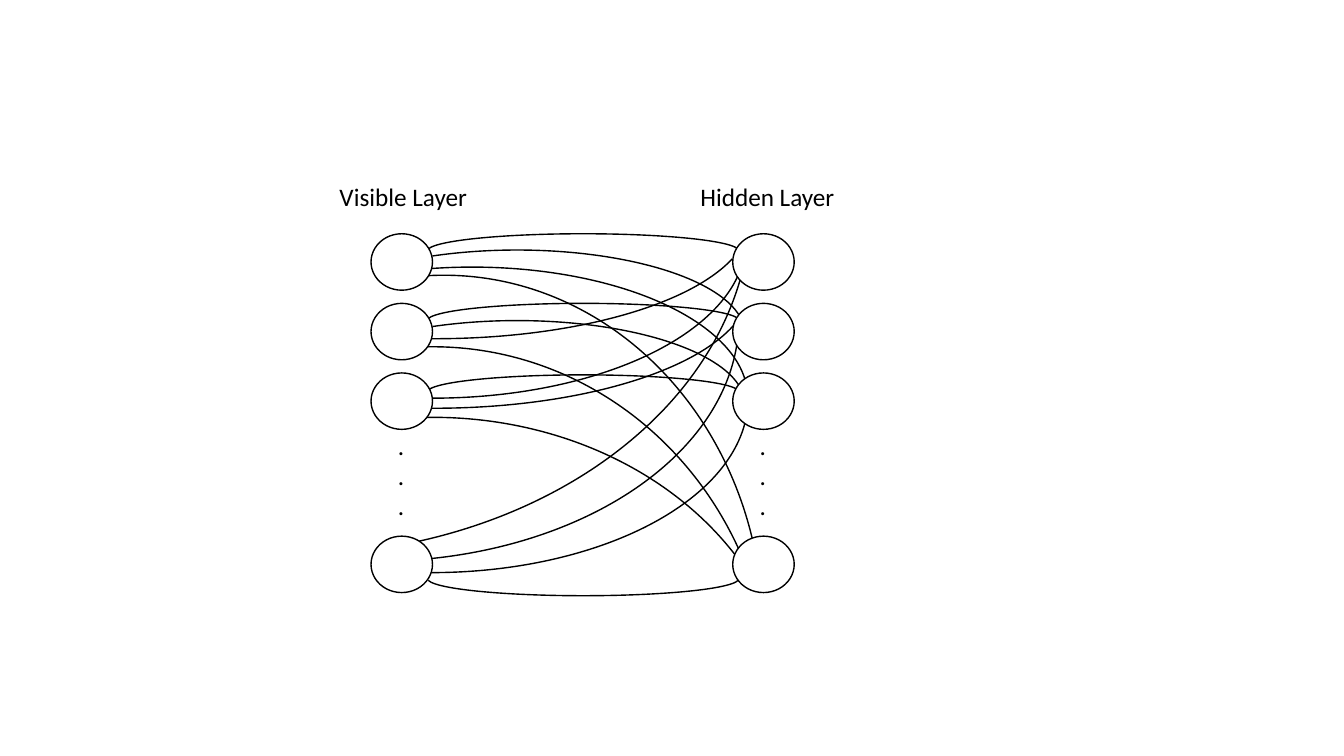
from dataclasses import dataclass

from pptx import Presentation
from pptx import util as u
from pptx.dml.color import RGBColor
from pptx.enum import shapes, text


@dataclass(frozen=True)
class Theme:
    ink: RGBColor = RGBColor(0, 0, 0)
    paper: RGBColor = RGBColor(255, 255, 255)
    font: str = "Calibri"
    label_size: float = 18
    line_width: float = 1


@dataclass(frozen=True)
class Link:
    """Arc between two units; lengths in points, angles in degrees."""
    left: float
    top: float
    width: float
    height: float
    start: float
    end: float
    rotation: float = 0


@dataclass(frozen=True)
class Layer:
    name: str
    left: float
    label_left: float
    label_width: float


THEME = Theme()
NODE_WIDTH, NODE_HEIGHT = 43.9, 40.3
FIRST_ROW, ROW_PITCH = 167, 49.7
ROWS = [FIRST_ROW + i * ROW_PITCH for i in range(3)] + [383]
DOTS_INDENT = 12.2

LAYERS = [
    Layer("Visible Layer", 265, 235.4, 106.6),
    Layer("Hidden Layer", 523.4, 493.2, 111.6),
]


def level_link(top: float, rotation: float = 0) -> Link:
    """Flat arc between two units in the same row."""
    return Link(305.3, top, 222.5, 24.5, 180.6, 359.34, rotation)


LINKS = [
    # From the last visible unit up to hidden units 1 to 3
    Link(-123.8, -105.1, 660.2, 501.8, 187.97, 250.56, 180),
    Link(8.6, 55.4, 519.1, 345.6, 181.24, 262.01, 180),
    Link(82.1, 160.6, 452.2, 248.4, 184.64, 271.64, 180),
    # From visible unit 3
    Link(52.6, 298.1, 513.4, 428.4, 267.99, 333.51),
    Link(84.2, 115.9, 452.2, 175.7, 186.14, 271.64, 180),
    Link(85.7, 59, 447.1, 225.4, 185.82, 272.44, 180),
    level_link(267.8),
    # From visible unit 2
    Link(67, 247.7, 484.6, 509.8, 267.99, 333.73),
    Link(85.7, 71.3, 450, 170.6, 187.56, 271.64, 180),
    Link(206.6, 229, 325.4, 119.5, 222.59, 354.93),
    level_link(ROWS[1]),
    # From visible unit 1
    Link(89.3, 196.6, 455.8, 506.9, 266.72, 344.53),
    Link(140.4, 190.8, 393.8, 187.2, 252.09, 356.27),
    Link(206.6, 178.6, 325.4, 119.5, 222.59, 356.76),
    level_link(ROWS[0]),
]
BOTTOM_LINK = level_link(401, 180)


def add_outline(slide, kind, left: float, top: float, width: float, height: float):
    shape = slide.shapes.add_shape(
        kind, u.Pt(left), u.Pt(top), u.Pt(width), u.Pt(height))
    shape.shadow.inherit = False
    shape.line.color.rgb = THEME.ink
    shape.line.width = u.Pt(THEME.line_width)
    return shape


def add_link(slide, link: Link) -> None:
    arc = add_outline(slide, shapes.MSO_SHAPE.ARC,
                      link.left, link.top, link.width, link.height)
    arc.fill.background()
    arc.rotation = link.rotation
    # Arc angles count 60000ths of a degree; adjustments are in 100000ths
    arc.adjustments[0] = link.start * 0.6
    arc.adjustments[1] = link.end * 0.6


def add_node(slide, left: float, top: float) -> None:
    node = add_outline(slide, shapes.MSO_SHAPE.OVAL, left, top, NODE_WIDTH, NODE_HEIGHT)
    node.fill.solid()
    node.fill.fore_color.rgb = THEME.paper


def add_text(slide, content: str, *, left: float, top: float, width: float,
             height: float, wrap: bool) -> None:
    box = slide.shapes.add_textbox(u.Pt(left), u.Pt(top), u.Pt(width), u.Pt(height))
    frame = box.text_frame
    frame.word_wrap = wrap
    frame.auto_size = text.MSO_AUTO_SIZE.SHAPE_TO_FIT_TEXT
    frame.text = content
    for paragraph in frame.paragraphs:
        paragraph.font.name = THEME.font
        paragraph.font.size = u.Pt(THEME.label_size)
        paragraph.font.color.rgb = THEME.ink


def add_layer(slide, layer: Layer) -> None:
    add_text(slide, layer.name, left=layer.label_left, top=126,
             width=layer.label_width, height=29, wrap=False)
    for top in ROWS:
        add_node(slide, layer.left, top)
    add_text(slide, ".\n.\n.", left=layer.left + DOTS_INDENT, top=303.8,
             width=19.4, height=72.7, wrap=True)


def main() -> None:
    deck = Presentation()
    deck.slide_width, deck.slide_height = u.Pt(960), u.Pt(540)
    slide = deck.slides.add_slide(deck.slide_layouts[6])

    # Links lie behind the units, except the bottom one
    for link in LINKS:
        add_link(slide, link)
    for layer in LAYERS:
        add_layer(slide, layer)
    add_link(slide, BOTTOM_LINK)

    deck.save("out.pptx")


if __name__ == "__main__":
    main()
